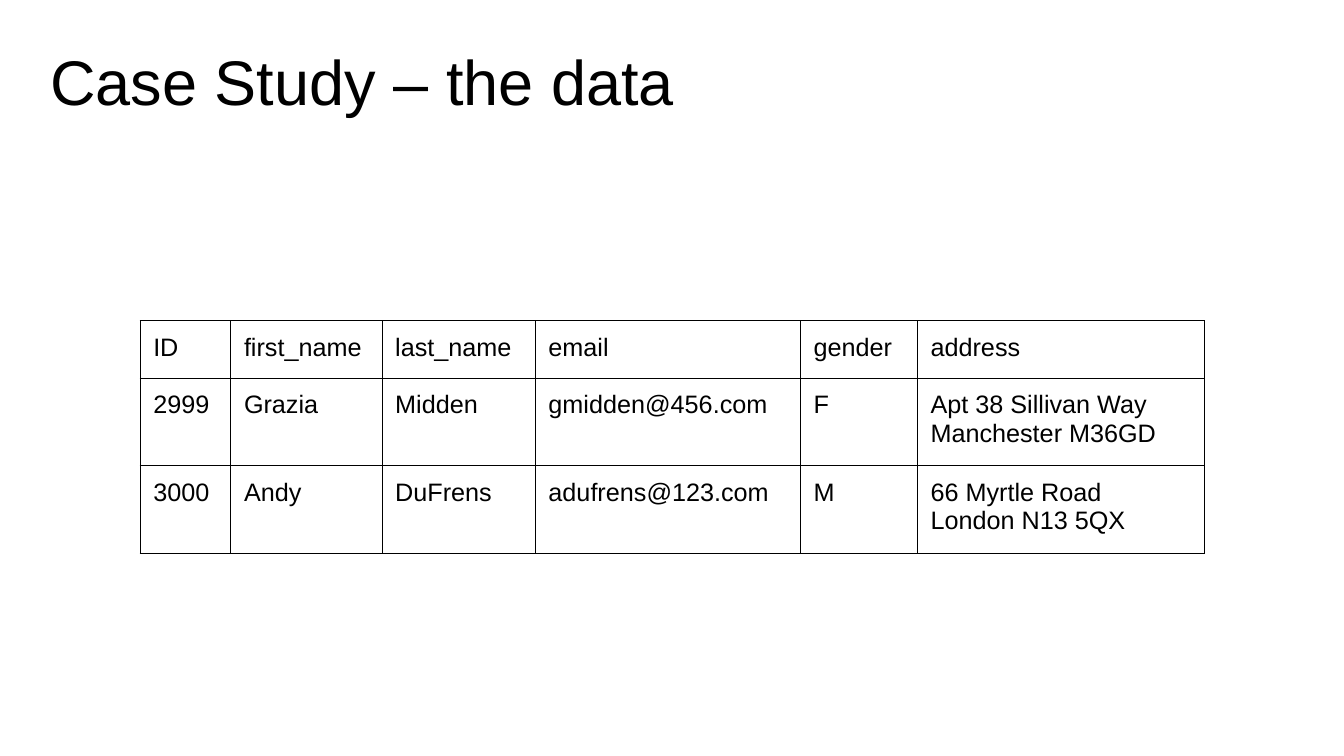
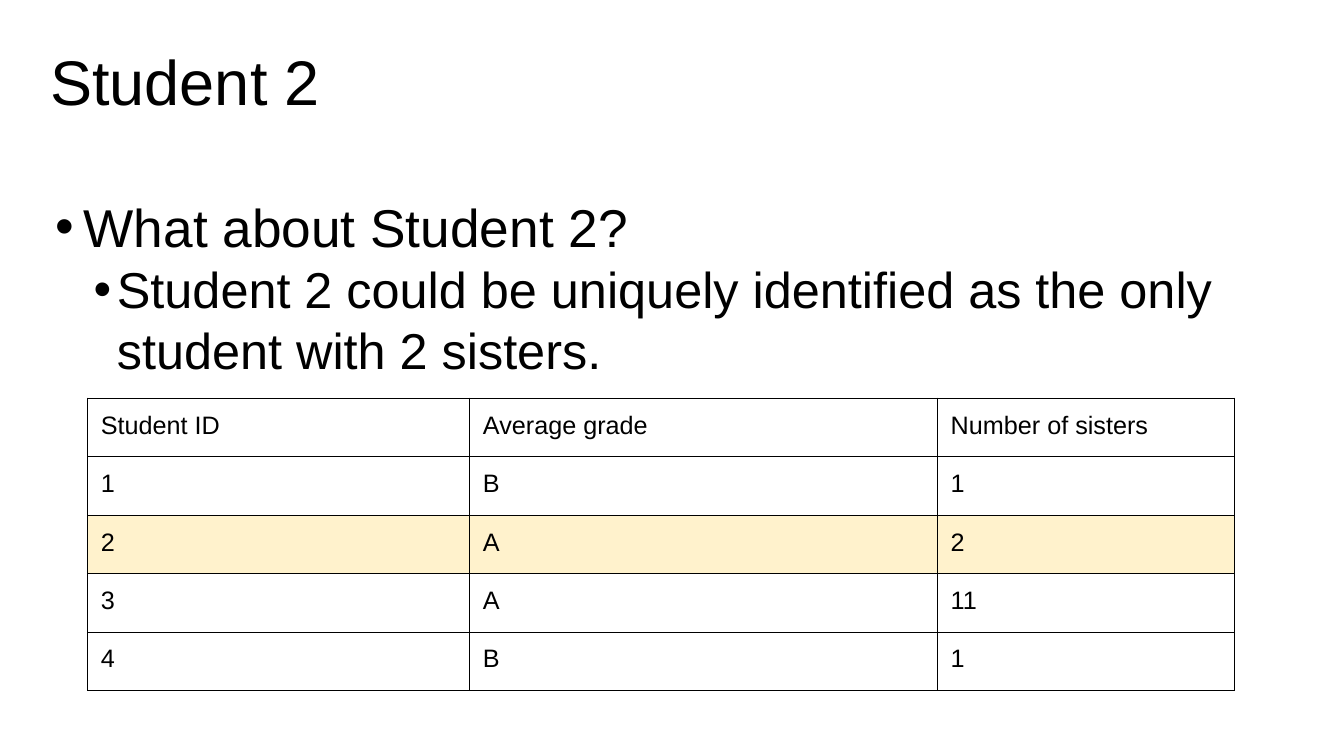
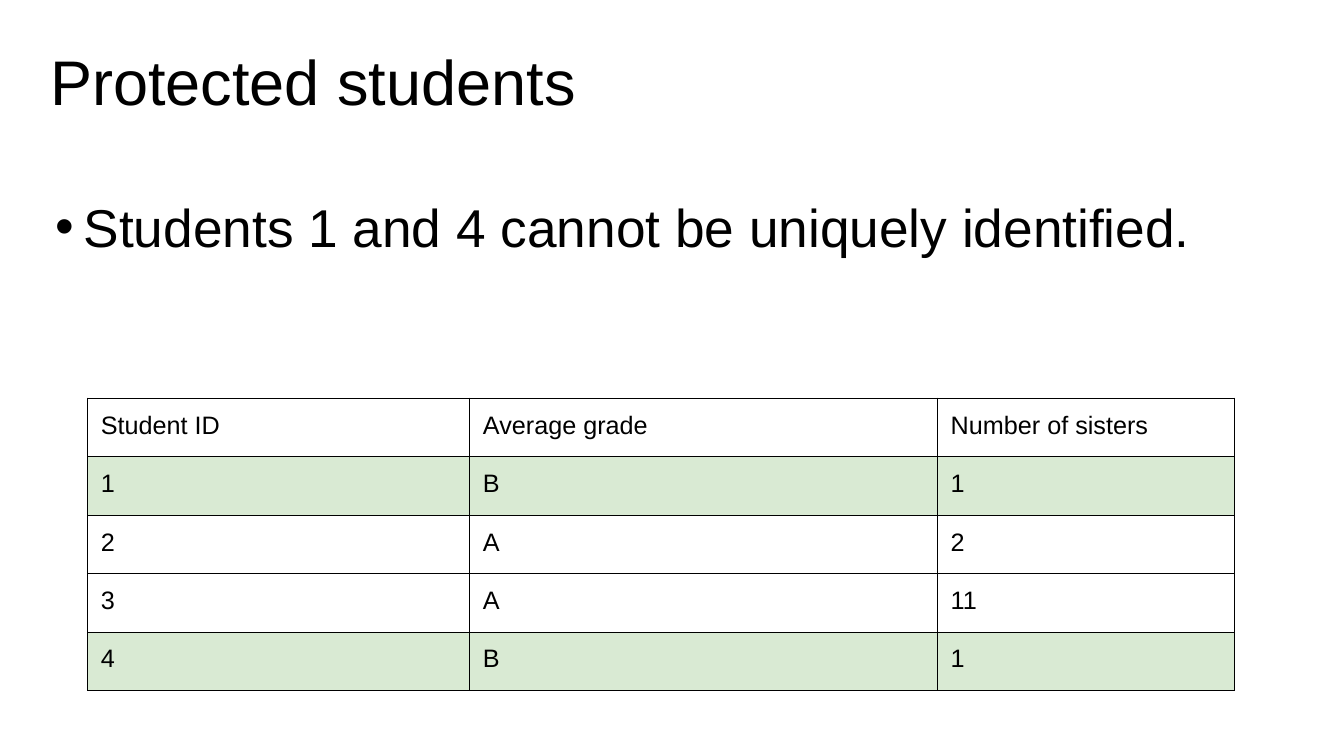
from dataclasses import dataclass

from lxml import etree
from pptx import Presentation
from pptx.dml.color import RGBColor
from pptx.enum.text import MSO_ANCHOR, PP_ALIGN
from pptx.oxml.ns import qn
from pptx.util import Inches, Pt

TOP = MSO_ANCHOR.TOP
LEFT = PP_ALIGN.LEFT
TITLE_ONLY_LAYOUT = 5


@dataclass(frozen=True)
class Theme:
    font: str = "Arial"
    ink: str = "000000"
    paper: str = "FFFFFF"
    yellow: str = "FFF2CC"
    green: str = "D9EAD3"
    title_size: int = 45
    bullet_sizes: tuple = (38, 36)
    bullet_indents: tuple = ((0.28, -0.28), (0.61, -0.23))
    table_size: int = 18
    inset: float = 0.13
    border: float = 0.75


THEME = Theme()

CUSTOMERS = [
    ["ID", "first_name", "last_name", "email", "gender", "address"],
    ["2999", "Grazia", "Midden", "gmidden@456.com", "F",
     "Apt 38 Sillivan Way Manchester M36GD"],
    ["3000", "Andy", "DuFrens", "adufrens@123.com", "M",
     "66 Myrtle Road London N13 5QX"],
]
STUDENTS = [
    ["Student ID", "Average grade", "Number of sisters"],
    ["1", "B", "1"],
    ["2", "A", "2"],
    ["3", "A", "11"],
    ["4", "B", "1"],
]


def set_insets(target):
    """Give a text frame or a table cell the shared margin on all sides."""
    target.margin_left = target.margin_right = Inches(THEME.inset)
    target.margin_top = target.margin_bottom = Inches(THEME.inset)


def style_paragraph(paragraph, size):
    paragraph.alignment = LEFT
    paragraph.font.name = THEME.font
    paragraph.font.size = Pt(size)
    paragraph.font.color.rgb = RGBColor.from_string(THEME.ink)


def add_titled_slide(presentation, text):
    slide = presentation.slides.add_slide(
        presentation.slide_layouts[TITLE_ONLY_LAYOUT])
    title = slide.shapes.title
    title.left, title.top = Inches(0.37), Inches(0.29)
    title.width, title.height = Inches(12), Inches(1.25)
    frame = title.text_frame
    frame.text = text
    frame.word_wrap = True
    frame.vertical_anchor = TOP
    set_insets(frame)
    style_paragraph(frame.paragraphs[0], THEME.title_size)
    return slide


def add_bullets(slide, lines):
    """Add a bulleted text box with one indent level per line."""
    box = slide.shapes.add_textbox(
        Inches(0.42), Inches(1.8), Inches(12), Inches(5.62))
    frame = box.text_frame
    frame.word_wrap = True
    set_insets(frame)
    for level, line in enumerate(lines):
        paragraph = frame.add_paragraph() if level else frame.paragraphs[0]
        paragraph.text = line
        paragraph.level = level
        margin, indent = THEME.bullet_indents[level]
        properties = paragraph._p.get_or_add_pPr()
        properties.set("marL", str(Inches(margin)))
        properties.set("indent", str(Inches(indent)))
        etree.SubElement(properties, qn("a:buFont"), typeface=THEME.font)
        etree.SubElement(properties, qn("a:buChar"), char="•")
        style_paragraph(paragraph, THEME.bullet_sizes[level])


def style_cell(cell, text, fill):
    cell.text = text
    cell.vertical_anchor = TOP
    set_insets(cell)
    style_paragraph(cell.text_frame.paragraphs[0], THEME.table_size)
    properties = cell._tc.get_or_add_tcPr()
    for side in ("a:lnL", "a:lnR", "a:lnT", "a:lnB"):
        line = etree.SubElement(properties, qn(side), w=str(Pt(THEME.border)))
        solid = etree.SubElement(line, qn("a:solidFill"))
        etree.SubElement(solid, qn("a:srgbClr"), val=THEME.ink)
    if fill:
        cell.fill.solid()
        cell.fill.fore_color.rgb = RGBColor.from_string(fill)
    else:
        cell.fill.background()


def add_grid(slide, rows, left, top, widths, heights, highlights=()):
    """Add a bordered table; highlights maps a row number to its fill."""
    fills = dict(highlights)
    frame = slide.shapes.add_table(
        len(rows), len(widths), Inches(left), Inches(top),
        Inches(sum(widths)), Inches(sum(heights)))
    table = frame.table
    table.first_row = table.horz_banding = False
    for column, width in zip(table.columns, widths):
        column.width = Inches(width)
    for row_number, (row, height) in enumerate(zip(rows, heights)):
        table.rows[row_number].height = Inches(height)
        for column_number, text in enumerate(row):
            style_cell(table.cell(row_number, column_number), text,
                       fills.get(row_number))


def add_student_slide(presentation, title, lines, fill, highlighted_rows):
    slide = add_titled_slide(presentation, title)
    add_bullets(slide, lines)
    add_grid(slide, STUDENTS, 0.87, 3.95, [3.79, 4.64, 2.94],
             [0.58] * len(STUDENTS),
             {row: fill for row in highlighted_rows})


def main():
    presentation = Presentation()
    presentation.slide_width = Inches(13.33)
    presentation.slide_height = Inches(7.5)
    background = presentation.slide_master.background.fill
    background.solid()
    background.fore_color.rgb = RGBColor.from_string(THEME.paper)

    slide = add_titled_slide(presentation, "Case Study – the data")
    add_grid(slide, CUSTOMERS, 1.39, 3.18,
             [0.9, 1.5, 1.52, 2.63, 1.16, 2.85], [0.57, 0.87, 0.87])
    add_student_slide(
        presentation, "Student 2",
        ["What about Student 2?",
         "Student 2 could be uniquely identified as the only student "
         "with 2 sisters."],
        THEME.yellow, [2])
    add_student_slide(
        presentation, "Protected students",
        ["Students 1 and 4 cannot be uniquely identified."],
        THEME.green, [1, 4])
    presentation.save("out.pptx")


if __name__ == "__main__":
    main()
